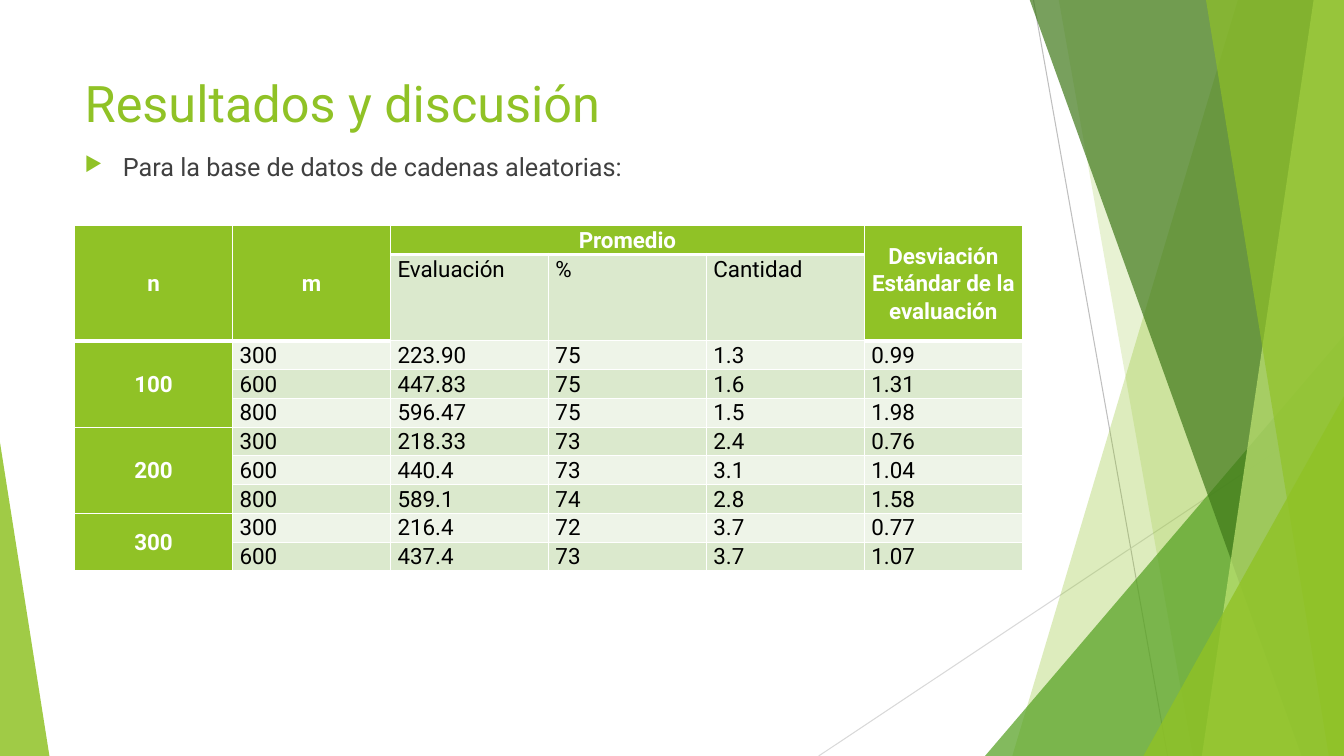
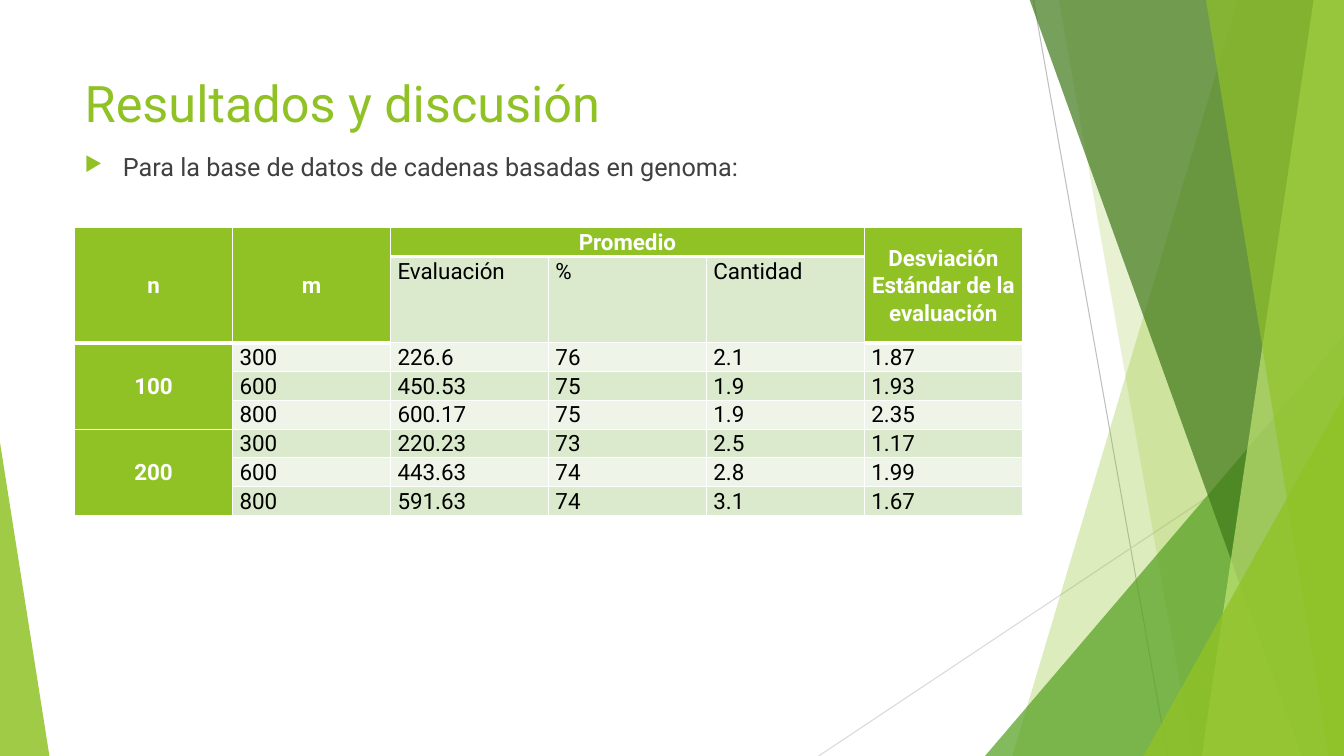
from lxml import etree
from pptx import Presentation
from pptx.dml.color import RGBColor
from pptx.enum.shapes import MSO_CONNECTOR, MSO_SHAPE
from pptx.enum.text import MSO_ANCHOR, MSO_AUTO_SIZE, PP_ALIGN
from pptx.oxml.ns import qn
from pptx.util import Inches, Pt

STRAIGHT = MSO_CONNECTOR.STRAIGHT
TRIANGLE = MSO_SHAPE.RIGHT_TRIANGLE
PEAK = MSO_SHAPE.ISOSCELES_TRIANGLE
TOP, MIDDLE = MSO_ANCHOR.TOP, MSO_ANCHOR.MIDDLE
LEFT, CENTER = PP_ALIGN.LEFT, PP_ALIGN.CENTER
NO_FIT = MSO_AUTO_SIZE.NONE

FONT = "Roboto"
GREEN = RGBColor(0x90, 0xC2, 0x26)
LEAF = RGBColor(0x54, 0xA0, 0x21)
FOREST = RGBColor(0x3F, 0x78, 0x19)
LIME = RGBColor(0xC0, 0xE4, 0x74)
BAND_DARK = RGBColor(0xDB, 0xE9, 0xCD)
BAND_LIGHT = RGBColor(0xEE, 0xF4, 0xE8)
GREY = RGBColor(0xBF, 0xBF, 0xBF)
PALE_GREY = RGBColor(0xD9, 0xD9, 0xD9)
TEXT = RGBColor(0x40, 0x40, 0x40)
BLACK = RGBColor(0, 0, 0)
WHITE = RGBColor(0xFF, 0xFF, 0xFF)

WIDTH, HEIGHT = 13.33, 7.5
MARGIN = 0.74
CONTENT_WIDTH = 9.4
COLUMNS = 6
EDGES = ("a:lnL", "a:lnR", "a:lnT", "a:lnB")

# Each page: lead-in, table top, and for every n the rows of
# m, evaluation, percentage, quantity and standard deviation
PAGES = [
    ("Para la base de datos de cadenas aleatorias:", 2.24, {
        "100": ["300 223.90 75 1.3 0.99",
                "600 447.83 75 1.6 1.31",
                "800 596.47 75 1.5 1.98"],
        "200": ["300 218.33 73 2.4 0.76",
                "600 440.4 73 3.1 1.04",
                "800 589.1 74 2.8 1.58"],
        "300": ["300 216.4 72 3.7 0.77",
                "600 437.4 73 3.7 1.07"],
    }),
    ("Para la base de datos de cadenas basadas en genoma:", 2.26, {
        "100": ["300 226.6 76 2.1 1.87",
                "600 450.53 75 1.9 1.93",
                "800 600.17 75 1.9 2.35"],
        "200": ["300 220.23 73 2.5 1.17",
                "600 443.63 74 2.8 1.99",
                "800 591.63 74 3.1 1.67"],
    }),
]


def write(frame, text, size, color, bold=False, align=LEFT):
    """Put one formatted paragraph in a text frame and return it."""
    para = frame.paragraphs[0]
    para.alignment = align
    span = para.add_run()
    span.text = text
    span.font.name = FONT
    span.font.size = Pt(size)
    span.font.bold = bold
    span.font.color.rgb = color
    return para


def place(shape, left, top, width, height):
    shape.left, shape.top = Inches(left), Inches(top)
    shape.width, shape.height = Inches(width), Inches(height)


# Background decoration
def paint(shape, color, opacity):
    shape.shadow.inherit = False
    shape.line.fill.background()
    shape.fill.solid()
    shape.fill.fore_color.rgb = color
    tint = shape.fill._xPr.find(qn("a:solidFill"))[0]
    etree.SubElement(tint, qn("a:alpha"), val=str(opacity * 1000))


def add_line(shapes, x1, y1, x2, y2, color):
    line = shapes.add_connector(
        STRAIGHT, Inches(x1), Inches(y1), Inches(x2), Inches(y2))
    line.line.color.rgb = color
    line.line.width = Pt(0.75)
    etree.SubElement(line._element.spPr, qn("a:effectLst"))


def add_band(shapes, top_x, bottom_x, color, opacity):
    """Band from a slanted left edge to the right side of the page."""
    corners = [(WIDTH, -0.01), (WIDTH, HEIGHT), (bottom_x, HEIGHT)]
    outline = shapes.build_freeform(Inches(top_x), Inches(-0.01))
    outline.add_line_segments([(Inches(x), Inches(y)) for x, y in corners])
    paint(outline.convert_to_shape(), color, opacity)


def add_triangle(shapes, left, top, width, peak, color, opacity):
    """Triangle standing on the bottom of the page."""
    shape = shapes.add_shape(PEAK, Inches(left), Inches(top),
                             Inches(width), Inches(HEIGHT - top))
    shape.adjustments[0] = peak
    paint(shape, color, opacity)


def decorate(layout, page):
    """Draw the decoration as a group, then hand it to the layout."""
    group = page.shapes.add_group_shape()
    shapes = group.shapes
    add_line(shapes, 10.25, 0, 11.58, HEIGHT, GREY)
    add_line(shapes, WIDTH, 4.03, 8.12, HEIGHT, PALE_GREY)
    add_band(shapes, 12.28, 10.04, GREEN, 30)
    add_band(shapes, 10.5, 11.83, GREEN, 20)
    add_triangle(shapes, 9.77, 3.33, 3.56, 1, LEAF, 72)
    add_band(shapes, 10.21, 12.91, FOREST, 70)
    add_band(shapes, 13.03, 11.92, LIME, 70)
    add_band(shapes, 11.96, 13.18, GREEN, 65)
    add_triangle(shapes, 11.34, 3.93, 1.99, 1, GREEN, 80)
    add_triangle(shapes, 0, 4.39, 0.49, 0, GREEN, 85)
    # Fresh ids keep the group apart from the layout's placeholders
    for number, item in enumerate(group._element.iter(qn("p:cNvPr")), 100):
        item.set("id", str(number))
    layout.shapes._spTree.insert(2, group._element)


# Page content
def add_title(page, text):
    title = page.shapes.title
    place(title, MARGIN, 0.67, 10.27, 0.79)
    frame = title.text_frame
    frame.auto_size = NO_FIT
    frame.vertical_anchor = TOP
    write(frame, text, 36, GREEN)


def add_bullet(page, text):
    box = page.shapes.add_textbox(0, 0, 0, 0)
    place(box, MARGIN, 1.45, CONTENT_WIDTH, 0.79)
    box.text_frame.word_wrap = True
    para = write(box.text_frame, text, 18, TEXT)
    para.space_before = Pt(10)
    props = para._p.get_or_add_pPr()
    props.set("marL", str(Inches(0.38)))
    props.set("indent", str(-Inches(0.38)))
    tint = etree.SubElement(props, qn("a:buClr"))
    etree.SubElement(tint, qn("a:srgbClr"), val=str(GREEN))
    etree.SubElement(props, qn("a:buSzPct"), val="80000")
    etree.SubElement(props, qn("a:buChar"), char="▶")


def style_cell(cell, fill, bottom=1):
    """White borders, narrow margins and a plain fill."""
    props = cell._tc.get_or_add_tcPr()
    for edge in EDGES:
        points = bottom if edge == "a:lnB" else 1
        line = etree.SubElement(props, qn(edge), w=str(Pt(points)))
        solid = etree.SubElement(line, qn("a:solidFill"))
        etree.SubElement(solid, qn("a:srgbClr"), val=str(WHITE))
    cell.fill.solid()
    cell.fill.fore_color.rgb = fill
    cell.margin_left = cell.margin_right = Inches(0.07)
    cell.margin_top = cell.margin_bottom = 0


def fill_cell(cell, text, heading=False):
    if heading:
        cell.vertical_anchor = MIDDLE
    para = write(cell.text_frame, text, 16, WHITE if heading else BLACK,
                 bold=heading, align=CENTER if heading else LEFT)
    para.line_spacing = 1.07


def add_results(page, top, groups):
    count = 2 + sum(len(rows) for rows in groups.values())
    table = page.shapes.add_table(
        count, COLUMNS, Inches(MARGIN), Inches(top),
        Inches(CONTENT_WIDTH), Inches(0.19 * count)).table
    table.first_row = table.horz_banding = False

    # Colours: green headings, bands on the value rows
    for r in range(count):
        table.rows[r].height = Inches(0.2 if r == 1 else 0.19)
        for c in range(COLUMNS):
            header = r == 0 or (r == 1 and c in (0, 1, 5))
            band = BAND_DARK if r % 2 else BAND_LIGHT
            style_cell(table.cell(r, c), GREEN if header or c == 0 else band,
                       bottom=3 if header else 1)

    def add_heading(text, row, column, last_row, last_column):
        cell = table.cell(row, column)
        cell.merge(table.cell(last_row, last_column))
        fill_cell(cell, text, heading=True)

    # Header rows
    add_heading("n", 0, 0, 1, 0)
    add_heading("m", 0, 1, 1, 1)
    add_heading("Promedio", 0, 2, 0, 4)
    add_heading("Desviación Estándar de la evaluación", 0, 5, 1, 5)
    for c, name in enumerate(("Evaluación", "%", "Cantidad"), 2):
        fill_cell(table.cell(1, c), name)

    # Value rows, grouped by n
    r = 2
    for name, rows in groups.items():
        add_heading(name, r, 0, r + len(rows) - 1, 0)
        for row in rows:
            for c, value in enumerate(row.split(), 1):
                fill_cell(table.cell(r, c), value)
            r += 1


def main():
    deck = Presentation()
    deck.slide_width, deck.slide_height = Inches(WIDTH), Inches(HEIGHT)
    layout = deck.slide_layouts[5]
    for number, (lead, top, groups) in enumerate(PAGES):
        page = deck.slides.add_slide(layout)
        if number == 0:
            decorate(layout, page)
        add_title(page, "Resultados y discusión")
        add_bullet(page, lead)
        add_results(page, top, groups)
    deck.save("out.pptx")


if __name__ == "__main__":
    main()
